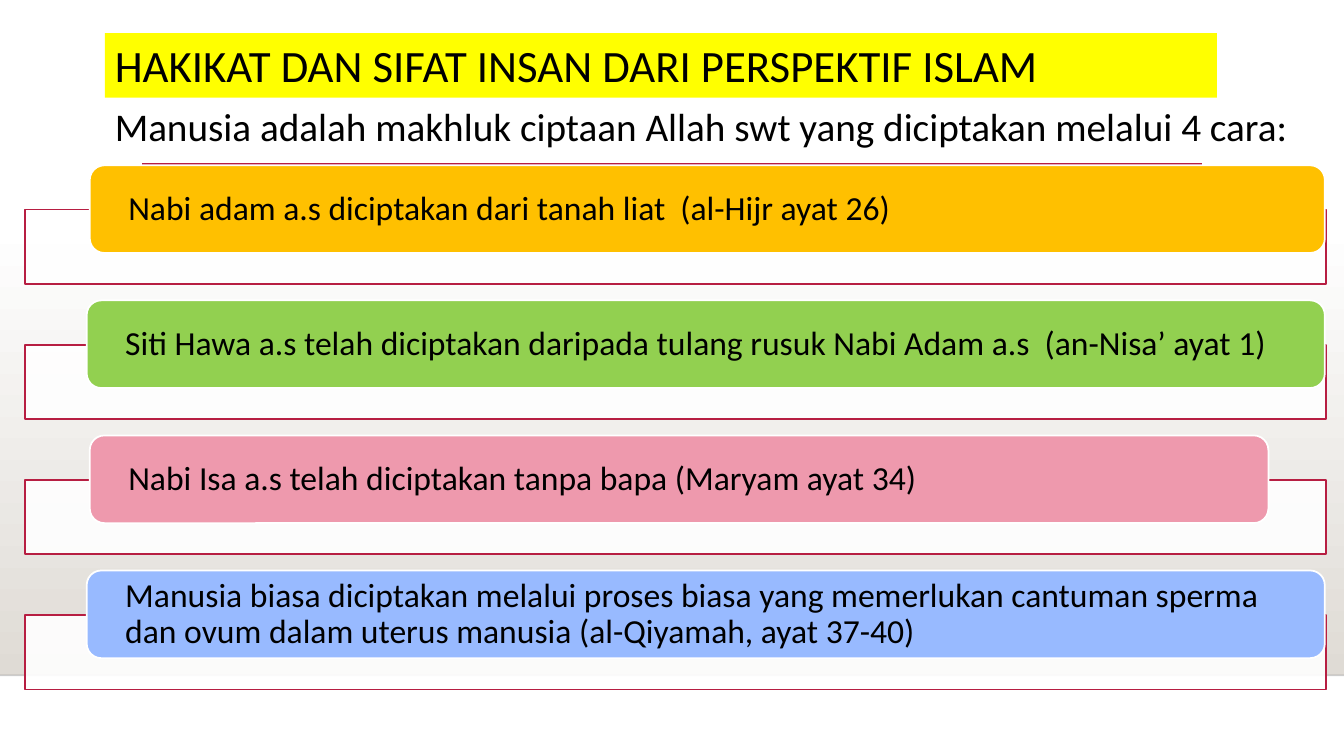
from lxml import etree
from pptx import Presentation
from pptx import util as u
from pptx.dml.color import RGBColor
from pptx.enum import shapes, text
from pptx.oxml.ns import qn

WIDE, HIGH = 13.33, 7.5
TOP, STEP = 1.64, 1.34
HUES = {
    "white": "FFFFFF", "black": "000000", "edge": "000001", "floor": "DFDBD5",
    "red": "B71E42", "yellow": "FFFF00", "gold": "FFC000",
    "green": "92D050", "pink": "EE99AD", "blue": "98BAFF",
}
WAYS = [
    ("gold", 0.89, 12.25, "Nabi adam a.s diciptakan dari tanah liat  (al-Hijr ayat 26)"),
    ("green", 0.86, 12.28, "Siti Hawa a.s telah diciptakan daripada tulang rusuk Nabi Adam a.s  (an-Nisa’ ayat 1)"),
    ("pink", 0.89, 11.69, "Nabi Isa a.s telah diciptakan tanpa bapa (Maryam ayat 34)"),
    ("blue", 0.86, 12.28, "Manusia biasa diciptakan melalui proses biasa yang memerlukan cantuman sperma "
                          "dan ovum dalam uterus manusia (al-Qiyamah, ayat 37-40)"),
]


def hue(name):
    return RGBColor.from_string(HUES[name])


def fade(fill, share):
    tint = fill._xPr.find(qn("a:solidFill"))[0]
    etree.SubElement(tint, qn("a:alpha"), val=str(share * 1000))


def box(slide, kind, area, fill=None, line=None):
    shape = slide.shapes.add_shape(kind, *map(u.Inches, area))
    shape.shadow.inherit = False
    if fill:
        shape.fill.solid()
        shape.fill.fore_color.rgb = hue(fill)
    else:
        shape.fill.background()
    if line:
        shape.line.color.rgb = hue(line)
        shape.line.width = u.Pt(1.25)
    else:
        shape.line.fill.background()
    return shape


def rule(slide, left, right, y, color, width):
    line = slide.shapes.add_connector(
        shapes.MSO_CONNECTOR.STRAIGHT, *map(u.Inches, (left, y, right, y)))
    line.line.color.rgb = hue(color)
    line.line.width = u.Pt(width)
    etree.SubElement(line._element.spPr, qn("a:effectLst"))
    return line


def write(shape, words, size, anchor=text.MSO_ANCHOR.TOP, inset=0.1):
    frame = shape.text_frame
    frame.word_wrap = True
    frame.vertical_anchor = anchor
    frame.margin_left = frame.margin_right = u.Inches(inset)
    para = frame.paragraphs[0]
    para.text = words
    para.alignment = text.PP_ALIGN.LEFT
    para.font.name = "Calibri"
    para.font.size = u.Pt(size)
    para.font.color.rgb = hue("black")
    return para


def floor(slide):
    shade = box(slide, shapes.MSO_SHAPE.RECTANGLE, (0, 2.21, WIDE, 4.49))
    shade.fill.gradient()
    shade.fill.gradient_angle = 270
    for stop, name in zip(shade.fill.gradient_stops, ("white", "floor")):
        stop.color.rgb = hue(name)
    edge = rule(slide, 0, WIDE, 6.7, "edge", 1)
    fade(edge.line.fill, 20)


def way(slide, row, color, left, width, words):
    top = TOP + row * STEP
    frame = box(slide, shapes.MSO_SHAPE.RECTANGLE,
                (0.25, top + 0.44, 12.9, 0.74), "white", "red")
    fade(frame.fill, 90)
    pill = box(slide, shapes.MSO_SHAPE.ROUNDED_RECTANGLE,
               (left, top, width, 0.87), color, "white")
    para = write(pill, words, 24, text.MSO_ANCHOR.MIDDLE, 0.34)
    para.line_spacing = 0.9
    pill.text_frame.margin_top = pill.text_frame.margin_bottom = 0


def main():
    deck = Presentation()
    deck.slide_width, deck.slide_height = u.Inches(WIDE), u.Inches(HIGH)
    slide = deck.slides.add_slide(deck.slide_layouts[6])
    floor(slide)
    rule(slide, 1.41, 11.92, 1.63, "red", 2.5)
    for row, item in enumerate(WAYS):
        way(slide, row, *item)
    title = box(slide, shapes.MSO_SHAPE.RECTANGLE, (1.04, 0.33, 11.03, 0.64), "yellow")
    write(title, "HAKIKAT DAN SIFAT INSAN DARI PERSPEKTIF ISLAM", 32)
    lead = slide.shapes.add_textbox(*map(u.Inches, (1.04, 0.97, 12.25, 0.88)))
    write(lead, "Manusia adalah makhluk ciptaan Allah swt yang diciptakan melalui 4 cara:", 28)
    deck.save("out.pptx")


if __name__ == "__main__":
    main()
